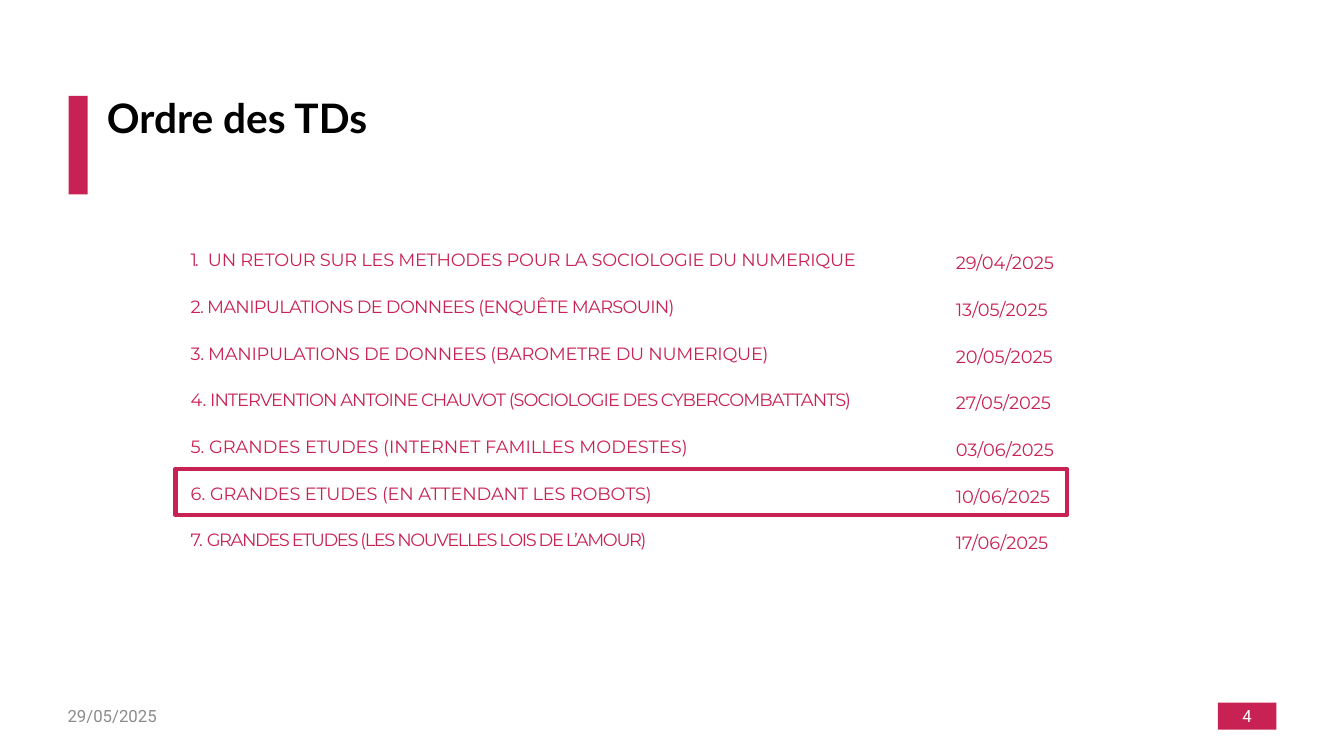
from pptx import Presentation
from pptx.dml.color import RGBColor
from pptx.enum.shapes import MSO_SHAPE
from pptx.enum.text import MSO_ANCHOR, MSO_AUTO_SIZE, PP_ALIGN
from pptx.util import Emu, Pt

RECT = MSO_SHAPE.RECTANGLE
TOP, MIDDLE = MSO_ANCHOR.TOP, MSO_ANCHOR.MIDDLE
LEFT, CENTER = PP_ALIGN.LEFT, PP_ALIGN.CENTER
FIXED, GROW = MSO_AUTO_SIZE.NONE, MSO_AUTO_SIZE.SHAPE_TO_FIT_TEXT

PX = 9144  # 100 px to the inch
COLORS = {"accent": "C82254", "title": "000000", "muted": "8C8C8C", "white": "FFFFFF"}

TITLE = {"name": "Lato", "size": Pt(29), "bold": True, "color": "title"}
ITEM = {"name": "Montserrat", "size": Pt(12.7), "color": "accent"}
FOOTER = {"name": "Roboto", "size": Pt(12), "color": "muted"}

# Each session: text runs with letter spacing in points, topic width, date, date width
SESSIONS = [
    ([("1.", -1.4), (" ", 3.2),
      ("UN RETOUR SUR LES METHODES POUR LA SOCIOLOGIE DU NUMERIQUE", -0.2)],
     740, "29/04/2025", 110),
    ([("2. MANIPULATIONS DE DONNEES (ENQUÊTE MARSOUIN)", -0.5)],
     636, "13/05/2025", 285),
    ([("3. MANIPULATIONS DE DONNEES (BAROMETRE DU NUMERIQUE)", -0.2)],
     624, "20/05/2025", 179),
    ([("4.", 0), (" INTERVENTION ANTOINE CHAUVOT (SOCIOLOGIE DES CYBERCOMBATTANTS)", -0.7)],
     740, "27/05/2025", 188),
    ([("5. GRANDES ETUDES (INTERNET FAMILLES MODESTES)", 0)],
     556, "03/06/2025", 168),
    ([("6. ", 0), ("GRANDES ETUDES (EN ATTENDANT LES ROBOTS)", -0.1)],
     682, "10/06/2025", 306),
    ([("7. ", -0.6), ("GRANDES ETUDES (LES NOUVELLES LOIS DE L’AMOUR)", -1)],
     556, "17/06/2025", 184),
]
ROW_PITCH = 46.33


def px(*lengths):
    return [Emu(n * PX) for n in lengths]


def rgb(name):
    return RGBColor.from_string(COLORS[name])


def set_text(s, runs, style, align=LEFT, anchor=MIDDLE, inset_top=0, fit=FIXED):
    tf = s.text_frame
    frame = {"word_wrap": True, "auto_size": fit, "vertical_anchor": anchor,
             "margin_left": 0, "margin_right": 0, "margin_bottom": 0,
             "margin_top": Emu(inset_top * PX)}
    for key, value in frame.items():
        setattr(tf, key, value)
    p = tf.paragraphs[0]
    p.alignment = align
    for text, spacing in runs:
        r = p.add_run()
        r.text = text
        for key, value in style.items():
            if key == "color":
                r.font.color.rgb = rgb(value)
            else:
                setattr(r.font, key, value)
        if spacing:
            r.font._element.set("spc", str(round(spacing * 100)))
    return p


def add_text(slide, box, runs, style, **options):
    s = slide.shapes.add_textbox(*px(*box))
    set_text(s, runs, style, **options)


def add_rect(slide, box, fill=None, line=None):
    s = slide.shapes.add_shape(RECT, *px(*box))
    s.shadow.inherit = False
    if fill:
        s.fill.solid()
        s.fill.fore_color.rgb = rgb(fill)
    else:
        s.fill.background()
    if line:
        s.line.color.rgb = rgb(line)
        s.line.width = Pt(3)
    else:
        s.line.fill.background()
    return s


def add_title(slide, box, text):
    s = slide.shapes.title
    s.left, s.top, s.width, s.height = px(*box)
    p = set_text(s, [(text, 0)], TITLE)
    p.line_spacing = 0.9


def add_schedule(slide):
    options = {"anchor": TOP, "inset_top": 8, "fit": GROW}
    for i, (topic, topic_width, date, date_width) in enumerate(SESSIONS):
        offset = round(i * ROW_PITCH)
        add_text(slide, (189, 239 + offset, topic_width, 30), topic, ITEM, **options)
        add_text(slide, (948, 242 + offset, date_width, 30), [(date, 0)], ITEM, **options)


def main():
    prs = Presentation()
    prs.slide_width, prs.slide_height = px(1333, 750)
    slide = prs.slides.add_slide(prs.slide_layouts[5])

    # Heading
    add_rect(slide, (68, 95, 19, 98), fill="accent")
    add_title(slide, (106, 95, 915, 49), "Ordre des TDs")

    # Sessions and their dates
    add_schedule(slide)

    # Footer
    add_text(slide, (67, 697, 307, 27), [("29/05/2025", 0)], FOOTER)
    badge = add_rect(slide, (1208, 697, 58, 27), fill="accent")
    set_text(badge, [("4", 0)], {**FOOTER, "color": "white"}, align=CENTER)

    # Frame around the current session
    add_rect(slide, (174, 465, 884, 46), line="accent")

    prs.save("out.pptx")


if __name__ == "__main__":
    main()
